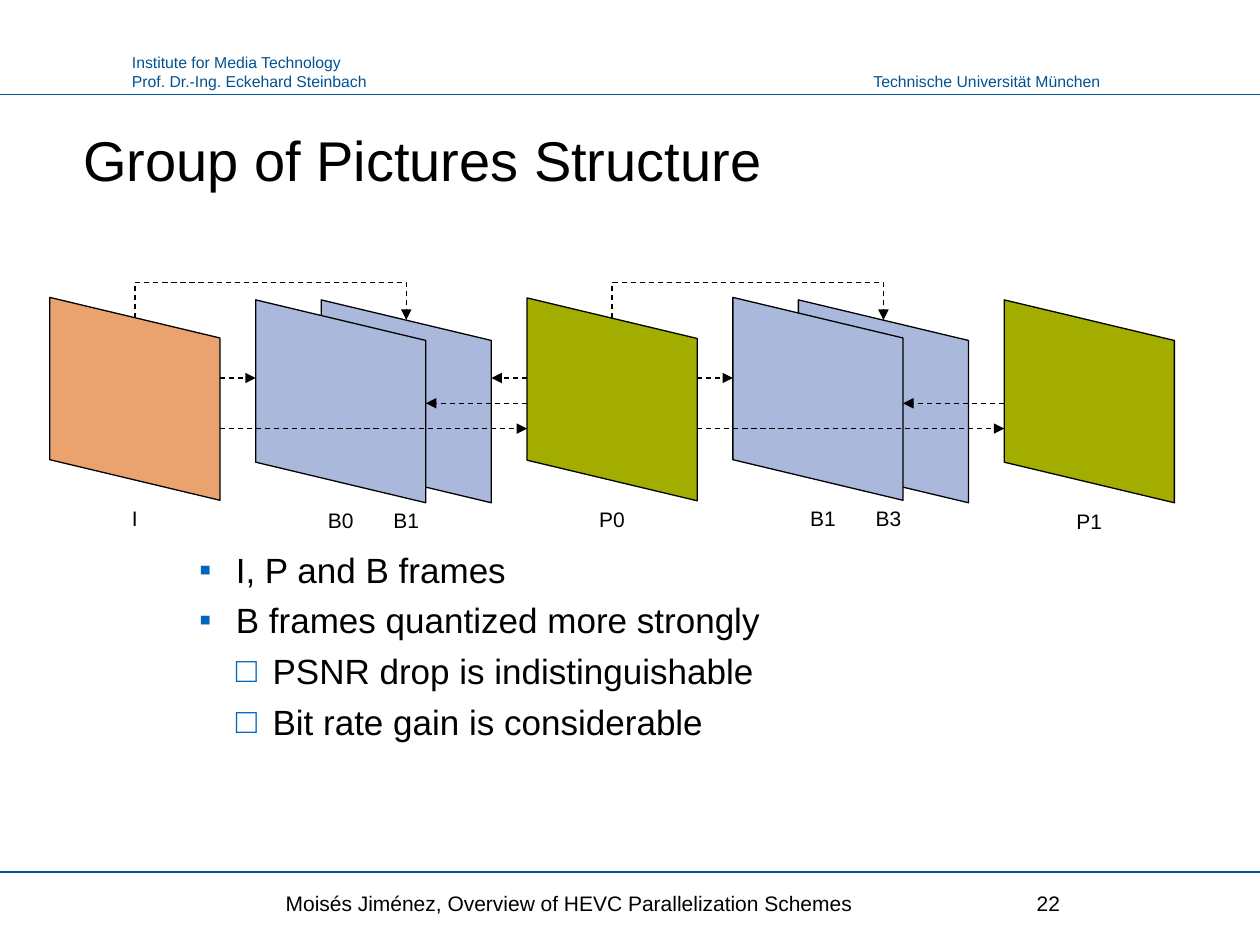
from dataclasses import dataclass

from lxml import etree
from pptx import Presentation
from pptx.dml.color import RGBColor
from pptx.enum.dml import MSO_LINE
from pptx.enum.shapes import MSO_CONNECTOR, MSO_SHAPE
from pptx.enum.text import MSO_ANCHOR, MSO_AUTO_SIZE, PP_ALIGN
from pptx.oxml.ns import qn
from pptx.util import Cm, Pt

STRAIGHT, ELBOW = MSO_CONNECTOR.STRAIGHT, MSO_CONNECTOR.ELBOW
PARALLELOGRAM = MSO_SHAPE.FLOWCHART_DATA
DASH = MSO_LINE.DASH
LEFT, CENTER, RIGHT = PP_ALIGN.LEFT, PP_ALIGN.CENTER, PP_ALIGN.RIGHT
TOP, MIDDLE = MSO_ANCHOR.TOP, MSO_ANCHOR.MIDDLE
NO_AUTOFIT = MSO_AUTO_SIZE.NONE

BLACK, HEADER_BLUE, BULLET_BLUE = "000000", "005293", "0065BD"
ORANGE, GREEN, LAVENDER = "EAA26F", "A2AD00", "AAB8DB"

SLIDE_WIDTH, SLIDE_HEIGHT = 25.4, 19.05
FRAME_WIDTH, FRAME_HEIGHT = 3.43, 4.09
FIRST_X, GROUP_PITCH = 2.72, 9.62
FRONT_OFFSET, BACK_OFFSET = 4.15, 5.47
UPPER_ROW, MIDDLE_ROW, LOWER_ROW = 7.62, 8.13, 8.64
BEND_START, BEND_RISE, BEND_DROP = 6.41, 0.72, 0.04


@dataclass
class Frame:
    """A picture of the sequence; x and y give its centre in cm."""
    label: str
    color: str
    group: int
    y: float
    label_top: float
    offset: float = 0
    label_shift: float = 0

    @property
    def x(self) -> float:
        return FIRST_X + self.group * GROUP_PITCH + self.offset


@dataclass
class TextBox:
    lines: list[str]
    left: float
    top: float
    width: float
    height: float
    size: int = 12
    color: str = BLACK
    align: PP_ALIGN = LEFT
    anchor: MSO_ANCHOR = TOP
    wrap: bool = False


@dataclass
class Bullet:
    text: str
    level: int = 0


FRAME_I = Frame("I", ORANGE, 0, 8.04, 10.06)
FRAME_B0 = Frame("B0", LAVENDER, 0, 8.09, 10.11, FRONT_OFFSET)
FRAME_B1 = Frame("B1", LAVENDER, 0, 8.09, 10.11, BACK_OFFSET)
FRAME_P0 = Frame("P0", GREEN, 1, 8.05, 10.08)
FRAME_B2 = Frame("B1", LAVENDER, 1, 8.04, 10.06, FRONT_OFFSET, 0.1)
FRAME_B3 = Frame("B3", LAVENDER, 1, 8.09, 10.06, BACK_OFFSET, 0.1)
FRAME_P1 = Frame("P1", GREEN, 2, 8.09, 10.13)
FRAMES = [FRAME_B1, FRAME_I, FRAME_P0, FRAME_B0, FRAME_B3, FRAME_B2, FRAME_P1]

REFERENCES = [
    (FRAME_I, FRAME_B0, UPPER_ROW),
    (FRAME_P0, FRAME_B2, UPPER_ROW),
    (FRAME_P0, FRAME_B1, UPPER_ROW),
    (FRAME_P0, FRAME_B0, MIDDLE_ROW),
    (FRAME_P1, FRAME_B2, MIDDLE_ROW),
    (FRAME_I, FRAME_P0, LOWER_ROW),
    (FRAME_P0, FRAME_P1, LOWER_ROW),
]
BENT_REFERENCES = [(FRAME_I, FRAME_B1), (FRAME_P0, FRAME_B3)]

TEXT_BOXES = [
    TextBox(["Technische Universität München"], 17.3, 1.32, 5.13, 0.64,
            9, HEADER_BLUE, RIGHT),
    TextBox(["Institute for Media Technology", "Prof. Dr.-Ing. Eckehard Steinbach"],
            2.41, 0.94, 5.28, 1.02, 9, HEADER_BLUE),
    TextBox(["Moisés Jiménez, Overview of HEVC Parallelization Schemes"],
            5.51, 17.78, 14.35, 0.84, anchor=MIDDLE, wrap=True),
    TextBox(["22"], 20.65, 17.78, 3.33, 0.84, anchor=MIDDLE, wrap=True),
]
BULLETS = [
    Bullet("I, P and B frames"),
    Bullet("B frames quantized more strongly"),
    Bullet("PSNR drop is indistinguishable", 1),
    Bullet("Bit rate gain is considerable", 1),
]


def rgb(color: str) -> RGBColor:
    return RGBColor.from_string(color)


def apply_format(target, values: dict) -> None:
    for name, value in values.items():
        setattr(target, name, value)


def place(shape, left: float, top: float, width: float, height: float) -> None:
    apply_format(shape, {"left": Cm(left), "top": Cm(top),
                         "width": Cm(width), "height": Cm(height)})


def write_paragraph(paragraph, text: str, size: int, color: str, align: PP_ALIGN) -> None:
    paragraph.alignment = align
    run = paragraph.add_run()
    run.text = text
    apply_format(run.font, {"name": "Arial", "size": Pt(size)})
    run.font.color.rgb = rgb(color)


def add_text(slide, box: TextBox) -> None:
    shape = slide.shapes.add_textbox(Cm(box.left), Cm(box.top), Cm(box.width), Cm(box.height))
    frame = shape.text_frame
    apply_format(frame, {"word_wrap": box.wrap, "vertical_anchor": box.anchor})
    for index, line in enumerate(box.lines):
        paragraph = frame.add_paragraph() if index else frame.paragraphs[0]
        write_paragraph(paragraph, line, box.size, box.color, box.align)


def add_line(slide, kind, start: tuple[float, float], end: tuple[float, float], color: str):
    connector = slide.shapes.add_connector(kind, *map(Cm, start + end))
    apply_format(connector.line, {"width": Pt(0.75)})
    connector.line.color.rgb = rgb(color)
    etree.SubElement(connector._element.spPr, qn("a:effectLst"))
    return connector


def make_dashed_arrow(connector) -> None:
    connector.line.dash_style = DASH
    etree.SubElement(connector.line._get_or_add_ln(), qn("a:tailEnd"), type="triangle")


def add_frame(slide, frame: Frame) -> None:
    shape = slide.shapes.add_shape(
        PARALLELOGRAM, Cm(frame.x - FRAME_HEIGHT / 2), Cm(frame.y - FRAME_WIDTH / 2),
        Cm(FRAME_HEIGHT), Cm(FRAME_WIDTH))
    shape.rotation = 270
    shape.shadow.inherit = False
    shape.fill.solid()
    shape.fill.fore_color.rgb = rgb(frame.color)
    shape.line.color.rgb = rgb(BLACK)
    shape.line.width = Pt(0.75)


def add_reference(slide, source: Frame, target: Frame, y: float) -> None:
    """Point from the facing edge of one frame to that of another."""
    half = FRAME_WIDTH / 2 if target.x > source.x else -FRAME_WIDTH / 2
    make_dashed_arrow(add_line(slide, STRAIGHT, (source.x + half, y), (target.x - half, y), BLACK))


def add_bent_reference(slide, source: Frame, target: Frame) -> None:
    """Arch over the frames: an elbow turned by 270 degrees about its centre."""
    x, y = (source.x + target.x) / 2, BEND_START + BEND_DROP / 2
    half = (target.x - source.x) / 2
    connector = add_line(slide, ELBOW, (x + BEND_DROP / 2, y - half),
                         (x - BEND_DROP / 2, y + half), BLACK)
    make_dashed_arrow(connector)
    properties = connector._element.spPr
    properties.find(qn("a:xfrm")).set("rot", str(270 * 60000))
    adjustments = properties.find(qn("a:prstGeom")).get_or_add_avLst()
    bend = round(-BEND_RISE / BEND_DROP * 100000)
    etree.SubElement(adjustments, qn("a:gd"), name="adj1", fmla=f"val {bend}")


def fill_title(title) -> None:
    place(title, 1.42, 2.36, 22.58, 1.68)
    apply_format(title.text_frame, {"vertical_anchor": MIDDLE, "auto_size": NO_AUTOFIT})
    write_paragraph(title.text_frame.paragraphs[0], "Group of Pictures Structure", 32, BLACK, LEFT)


def fill_body(body) -> None:
    place(body, 3.76, 10.92, 17.88, 5.38)
    frame = body.text_frame
    apply_format(frame, {"vertical_anchor": TOP, "auto_size": NO_AUTOFIT})
    for index, bullet in enumerate(BULLETS):
        paragraph = frame.add_paragraph() if index else frame.paragraphs[0]
        apply_format(paragraph, {"level": bullet.level, "space_before": Pt(5)})
        write_paragraph(paragraph, bullet.text, 20, BLACK, LEFT)
        properties = paragraph._p.get_or_add_pPr()
        properties.set("marL", str(Cm(0.74 * (bullet.level + 1))))
        properties.set("indent", str(Cm(-0.74)))
        color = etree.SubElement(properties, qn("a:buClr"))
        etree.SubElement(color, qn("a:srgbClr"), val=BULLET_BLUE)
        etree.SubElement(properties, qn("a:buFont"), typeface="Arial")
        etree.SubElement(properties, qn("a:buChar"), char="▪□"[bullet.level])


def main() -> None:
    presentation = Presentation()
    apply_format(presentation, {"slide_width": Cm(SLIDE_WIDTH), "slide_height": Cm(SLIDE_HEIGHT)})
    slide = presentation.slides.add_slide(presentation.slide_layouts[1])
    fill_title(slide.shapes.title)
    fill_body(slide.placeholders[1])
    for y in (1.9, 17.58):
        add_line(slide, STRAIGHT, (0, y), (SLIDE_WIDTH, y), HEADER_BLUE)
    for box in TEXT_BOXES:
        add_text(slide, box)
    for frame in FRAMES:
        add_frame(slide, frame)
        add_text(slide, TextBox([frame.label], frame.x + frame.label_shift - 0.52,
                                frame.label_top, 1.04, 0.76, align=CENTER))
    for source, target, y in REFERENCES:
        add_reference(slide, source, target, y)
    for source, target in BENT_REFERENCES:
        add_bent_reference(slide, source, target)
    presentation.save("out.pptx")


if __name__ == "__main__":
    main()
